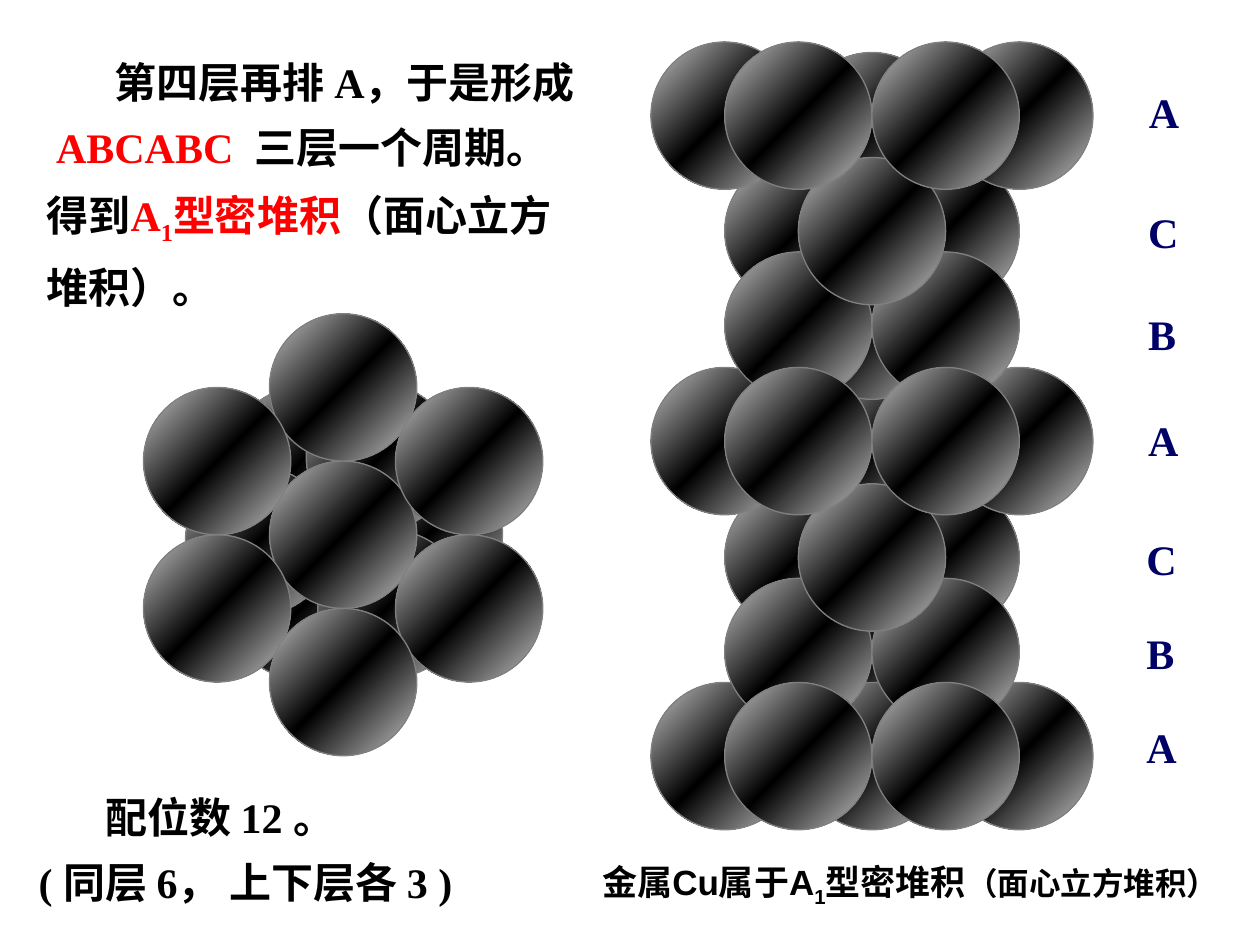
from pptx import Presentation
from pptx.dml.color import RGBColor
from pptx.enum.shapes import MSO_SHAPE as Shape
from pptx.oxml import parse_xml
from pptx.oxml.ns import nsdecls
from pptx.util import Pt

COLORS = {"black": "000000", "red": "FF0000", "navy": "000066", "rim": "808080",
          "under": "BEBEBE", "top": "CCCCCC"}
SERIF, SANS = "Times New Roman", "Arial"
SUB = "sub"

# Runs are (text, colour, size, subscript or None)
EXPLANATION = [[
    ("第四层再排 A，于是形成  ", "black", 24, None),
    ("ABCABC  ", "red", 24, None),
    ("三层一个周期。 得到", "black", 24, None),
    ("A", "red", 24, None),
    ("1", "red", 24, SUB),
    ("型密堆积", "red", 24, None),
    ("（面心立方堆积）。", "black", 24, None),
]]
COORDINATION = [
    [("配位数 12 。", "black", 24, None)],
    [("( 同层 6， 上下层各 3 )", "black", 24, None)],
]
COPPER = [[
    ("金属Cu属于A", "black", 20, None),
    ("1", "black", 20, SUB),
    ("型密堆积", "black", 20, None),
    ("（面心立方堆积）", "black", 18, None),
]]

DIAMETER = 84.2
RADIUS = DIAMETER / 2

# Plan view: balls of the two lower layers, then the top layer in hexagon steps
LOWER_LAYERS = [(131, 221), (203, 263), (131, 304.5), (175, 219), (181.5, 303), (106, 267)]
HEX_ORIGIN, HEX_STEP = (154, 263.5), 72
HEX_CELLS = [(0, 0), (0, -2), (1, -1), (-1, 1), (1, 1), (0, 2), (-1, -1)]

# Side view: rows from back to front as (top, columns in radius steps)
STACK_LEFT = 372
SIDE_ROWS = [
    (330.5, [2]), (276.5, [1, 3]), (210, [4]), (216, [2]), (210, [0]),
    (390, [2, 0, 4]), (330.5, [1, 3]), (390, [1, 3]), (276.5, [2]),
    (144, [2]), (90, [1, 3]), (24, [4]), (30, [2]), (24, [0]),
    (144, [1, 3]), (90, [2]), (24, [1, 3]), (210, [1, 3]),
]
LAYER_LABELS = [("A", 649.5, 46), ("C", 649, 114.5), ("B", 649, 173), ("A", 649, 233.5),
                ("C", 648, 301.5), ("B", 648, 355), ("A", 648, 409)]


def rgb(name):
    return RGBColor.from_string(COLORS[name])


def add_ball(slide, left, top, shade):
    ball = slide.shapes.add_shape(Shape.OVAL, Pt(left), Pt(top), Pt(DIAMETER), Pt(DIAMETER))
    ball.shadow.inherit = False
    ball.line.color.rgb = rgb("rim")
    ball.line.width = Pt(0.75)
    stops = "".join(f'<a:gs pos="{pos}"><a:srgbClr val="{COLORS[name]}"/></a:gs>'
                    for pos, name in [(0, shade), (50000, "black"), (100000, shade)])
    gradient = parse_xml(f'<a:gradFill {nsdecls("a")}><a:gsLst>{stops}</a:gsLst>'
                         '<a:lin ang="2700000" scaled="1"/></a:gradFill>')
    ball._element.spPr.find(".//{*}prstGeom").addnext(gradient)


def add_text(slide, paragraphs, left, top, width, height, font=SERIF, spacing=1, indent=0):
    """Add bold text; indent applies to the first line of the first paragraph."""
    frame = slide.shapes.add_textbox(Pt(left), Pt(top), Pt(width), Pt(height)).text_frame
    frame.word_wrap = True
    for index, runs in enumerate(paragraphs):
        paragraph = frame.add_paragraph() if index else frame.paragraphs[0]
        if indent and not index:
            paragraph._p.get_or_add_pPr().set("indent", str(Pt(indent)))
        paragraph.line_spacing = spacing
        paragraph.font.name = font
        paragraph.font.bold = True
        for text, color, size, position in runs:
            run = paragraph.add_run()
            run.text = text
            run.font.name = font
            run.font.bold = True
            run.font.size = Pt(size)
            run.font.color.rgb = rgb(color)
            if position == SUB:
                run.font._element.set("baseline", "-25000")


def main():
    deck = Presentation()
    deck.slide_width, deck.slide_height = Pt(720), Pt(540)
    slide = deck.slides.add_slide(deck.slide_layouts[6])

    for left, top in LOWER_LAYERS:
        add_ball(slide, left, top, "under")
    for column, row in HEX_CELLS:
        add_ball(slide, HEX_ORIGIN[0] + column * HEX_STEP, HEX_ORIGIN[1] + row * RADIUS, "top")
    for top, columns in SIDE_ROWS:
        for column in columns:
            add_ball(slide, STACK_LEFT + column * RADIUS, top, "top")

    for letter, left, top in LAYER_LABELS:
        add_text(slide, [[(letter, "navy", 24, None)]], left, top, 42, 36)
    add_text(slide, EXPLANATION, 19.5, 20, 317.5, 162, spacing=1.3, indent=39)
    add_text(slide, COORDINATION, 15, 440, 286, 82, spacing=1.3, indent=38)
    add_text(slide, COPPER, 337, 488, 374.5, 56, font=SANS)

    deck.save("out.pptx")


if __name__ == "__main__":
    main()
